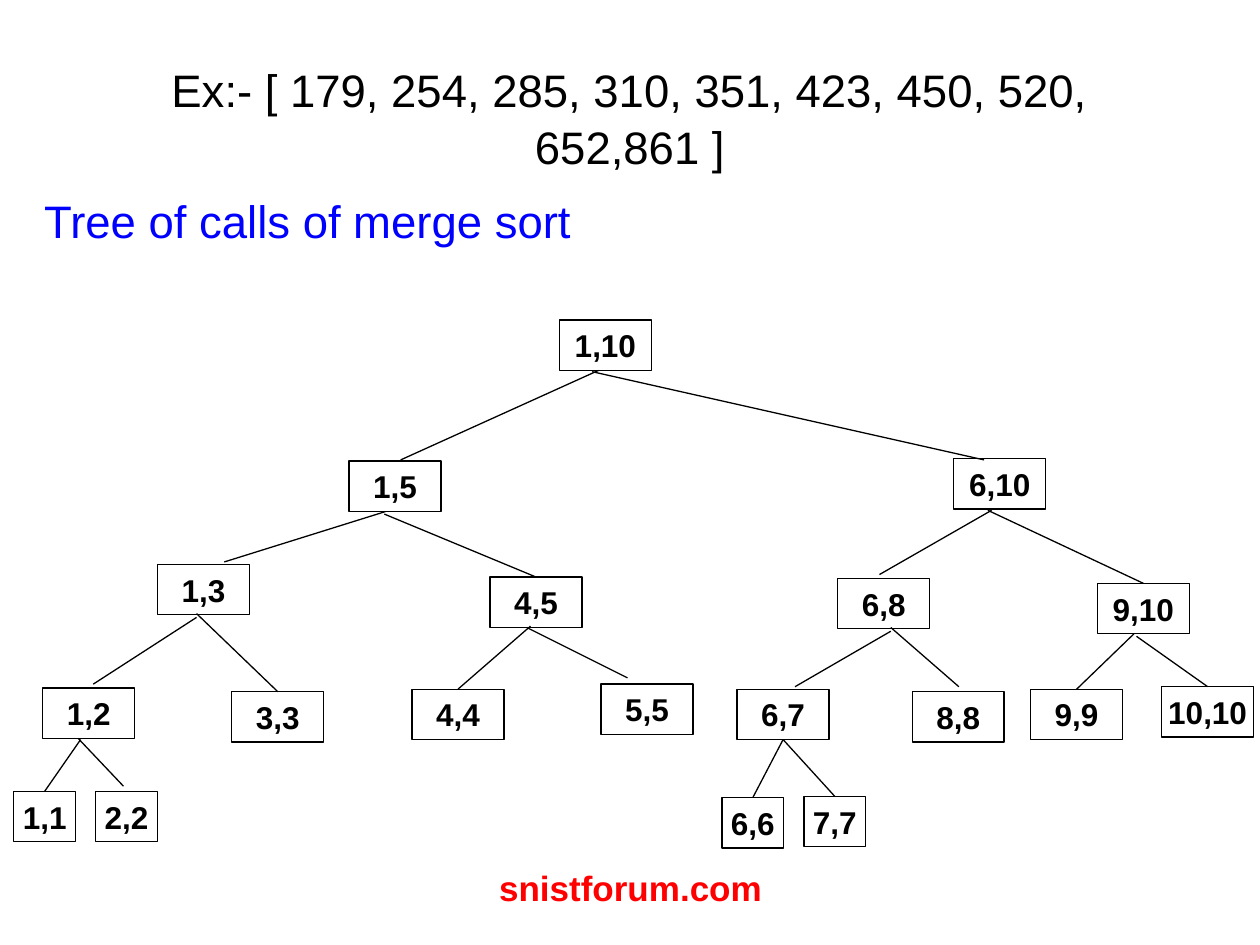
from dataclasses import dataclass

from lxml.etree import SubElement
from pptx import Presentation
from pptx.dml.color import RGBColor
from pptx.enum.shapes import MSO_CONNECTOR, MSO_SHAPE
from pptx.enum.text import MSO_ANCHOR, PP_ALIGN
from pptx.oxml.ns import qn
from pptx.util import Inches, Pt


@dataclass(frozen=True)
class Theme:
    font: str = "Arial"
    ink: RGBColor = RGBColor(0, 0, 0)
    paper: RGBColor = RGBColor(255, 255, 255)
    heading: RGBColor = RGBColor(0, 0, 255)
    footer: RGBColor = RGBColor(255, 0, 0)
    heading_size: Pt = Pt(26)
    node_size: Pt = Pt(18)
    footer_size: Pt = Pt(20)
    line: Pt = Pt(0.75)


class SlideBuilder:
    TOP, BOTTOM = 0, 2
    SNAP = Inches(0.03)

    def __init__(self, prs, theme):
        self.theme = theme
        self.slide = prs.slides.add_slide(prs.slide_layouts[1])

    def place(self, sp, box):
        for name, value in zip(("left", "top", "width", "height"), box):
            setattr(sp, name, Inches(value))

    def add_text(self, tf, text, size, color, bold=False, align=PP_ALIGN.CENTER):
        p = tf.paragraphs[0]
        p.alignment = align
        r = p.add_run()
        r.text = text
        for name, value in dict(name=self.theme.font, size=size, bold=bold).items():
            setattr(r.font, name, value)
        r.font.color.rgb = color
        return p

    def title(self, text, box):
        sp = self.slide.shapes.title
        self.place(sp, box)
        sp.text_frame.vertical_anchor = MSO_ANCHOR.MIDDLE
        p = self.add_text(sp.text_frame, text, self.theme.heading_size, self.theme.ink)
        p.line_spacing = 1.05

    def body(self, text, box):
        sp = self.slide.placeholders[1]
        self.place(sp, box)
        p = sp.text_frame.paragraphs[0]
        p.space_before = Pt(0)
        pPr = p._p.get_or_add_pPr()
        pPr.set("marL", str(Inches(0.38)))
        pPr.set("indent", str(Inches(-0.38)))
        SubElement(pPr, qn("a:buNone"))
        self.add_text(sp.text_frame, text, self.theme.heading_size,
                      self.theme.heading, align=PP_ALIGN.LEFT)

    def node(self, text, left, top, width=0.73, height=0.4):
        sp = self.slide.shapes.add_shape(
            MSO_SHAPE.RECTANGLE, *map(Inches, (left, top, width, height)))
        sp.shadow.inherit = False
        sp.fill.solid()
        sp.fill.fore_color.rgb = self.theme.paper
        sp.line.color.rgb = self.theme.ink
        sp.line.width = self.theme.line
        tf = sp.text_frame
        tf.word_wrap = False
        tf.vertical_anchor = MSO_ANCHOR.MIDDLE
        self.add_text(tf, text, self.theme.node_size, self.theme.ink, bold=True)
        return sp

    def meets(self, x, y, sp, site):
        """Tell whether a point lies at the middle of the node's side."""
        side_y = sp.top + (sp.height if site == self.BOTTOM else 0)
        return (abs(x - sp.left - sp.width / 2) <= self.SNAP
                and abs(y - side_y) <= self.SNAP)

    def branch(self, parent, child, *ends):
        x1, y1, x2, y2 = map(Inches, ends)
        cx = self.slide.shapes.add_connector(MSO_CONNECTOR.STRAIGHT, x1, y1, x2, y2)
        cx.line.color.rgb = self.theme.ink
        cx.line.width = self.theme.line
        SubElement(cx._element.spPr, qn("a:effectLst"))
        if self.meets(x1, y1, parent, self.BOTTOM):
            cx.begin_connect(parent, self.BOTTOM)
        if self.meets(x2, y2, child, self.TOP):
            cx.end_connect(child, self.TOP)

    def footer(self, text, box):
        sp = self.slide.shapes.add_textbox(*map(Inches, box))
        sp.text_frame.word_wrap = True
        self.add_text(sp.text_frame, text, self.theme.footer_size,
                      self.theme.footer, bold=True)


# Call range: left, top
CALLS = {
    "1,10": (4.44, 2.54),
    "1,5": (2.77, 3.66), "6,10": (7.57, 3.64),
    "1,3": (1.25, 4.48), "4,5": (3.89, 4.58),
    "6,8": (6.65, 4.59), "9,10": (8.71, 4.63),
    "1,2": (0.34, 5.46), "3,3": (1.84, 5.49),
    "4,4": (3.27, 5.47), "5,5": (4.77, 5.43),
    "6,7": (5.85, 5.47), "8,8": (7.24, 5.49),
    "9,9": (8.18, 5.47), "10,10": (9.22, 5.45),
}
DEEPEST_CALLS = {
    "1,1": (0.11, 6.28), "2,2": (0.76, 6.28),
    "6,6": (5.73, 6.33), "7,7": (6.38, 6.32),
}
# Parent, child, start x and y, end x and y
BRANCHES = [
    ("1,10", "1,5", 4.75, 2.94, 3.18, 3.65),
    ("1,10", "6,10", 4.7, 2.95, 7.81, 3.65),
    ("1,5", "1,3", 3.06, 4.06, 1.78, 4.46),
    ("1,5", "4,5", 3.05, 4.08, 4.24, 4.55),
    ("6,10", "6,8", 7.87, 4.05, 6.98, 4.56),
    ("6,10", "9,10", 7.84, 4.05, 9.08, 4.62),
    ("1,3", "1,2", 1.56, 4.9, 0.74, 5.43),
    ("1,3", "3,3", 1.56, 4.87, 2.2, 5.46),
    ("6,8", "6,7", 7.07, 5.01, 6.31, 5.45),
    ("6,8", "8,8", 7.07, 4.98, 7.61, 5.45),
    ("4,5", "4,4", 4.21, 4.97, 3.62, 5.44),
    ("4,5", "5,5", 4.18, 4.98, 4.98, 5.38),
    ("9,10", "9,9", 9, 5.03, 8.52, 5.44),
    ("9,10", "10,10", 9.02, 5.05, 9.56, 5.43),
    ("1,2", "1,1", 0.64, 5.87, 0.33, 6.29),
    ("1,2", "2,2", 0.62, 5.86, 0.98, 6.24),
    ("6,7", "6,6", 6.22, 5.87, 5.95, 6.33),
    ("6,7", "7,7", 6.22, 5.87, 6.64, 6.3),
]


def main():
    prs = Presentation()
    prs.slide_width, prs.slide_height = Inches(10), Inches(7.5)
    s = SlideBuilder(prs, Theme())

    # Headings
    s.title("Ex:- [ 179, 254, 285, 310, 351, 423, 450, 520, 652,861 ]",
            (0.5, 0.3, 9, 1.25))
    s.body("Tree of calls of merge sort", (0.25, 1.48, 9.52, 5.78))

    # Call tree
    nodes = {text: s.node(text, *at) for text, at in CALLS.items()}
    for text, at in DEEPEST_CALLS.items():
        nodes[text] = s.node(text, *at, width=0.49)
    for parent, child, *ends in BRANCHES:
        s.branch(nodes[parent], nodes[child], *ends)

    # Footer
    s.footer("snistforum.com", (3.42, 6.83, 3.17, 0.52))

    prs.save("out.pptx")


if __name__ == "__main__":
    main()
